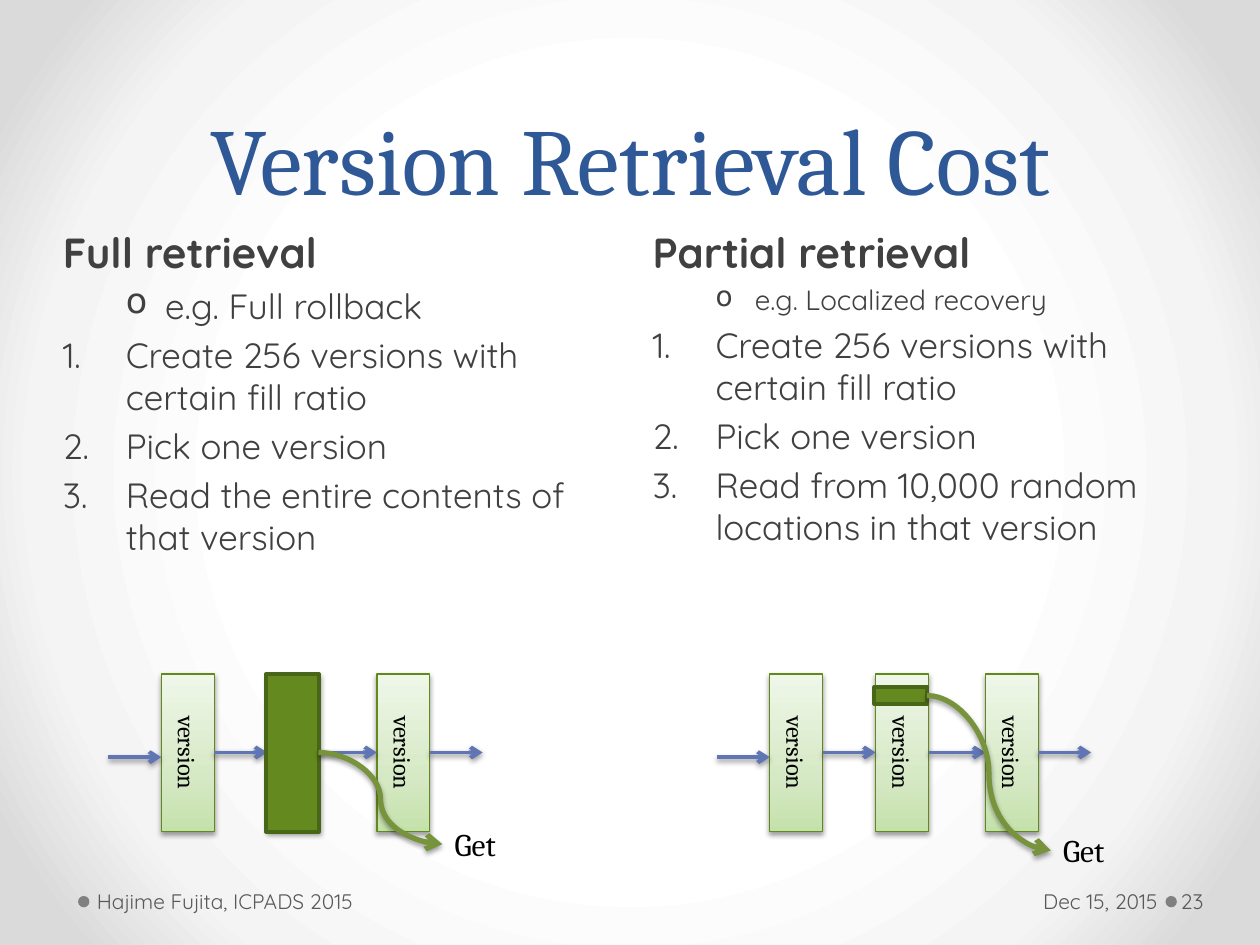
import pptx
import pptx.util
import pptx.oxml
import pptx.oxml.ns
import pptx.dml.color
import pptx.enum.text
import pptx.enum.shapes
import lxml.etree

Pt = pptx.util.Pt
Shape = pptx.enum.shapes.MSO_SHAPE
Link = pptx.enum.shapes.MSO_CONNECTOR
Align = pptx.enum.text.PP_ALIGN
Anchor = pptx.enum.text.MSO_ANCHOR
qn = pptx.oxml.ns.qn

THEME = {
    "head": "Cambria", "body": "Quicksand",
    "title": "2F5897", "text": "404040", "small": "595959", "dot": "808080",
    "black": "000000", "edge": "62891C", "mark": "63891F", "rim": "496517",
    "arrow": "6076B4", "curve": "77933C",
    "box": [(0, "C5E1AB"), (35, "D6E9C5"), (100, "EFF7E9")],
    "back": [(50, "FFFFFF"), (76, "F4F4F4"), (92, "DADADA")],
    "size": {"title": 54, "lead": 24, "step": 20, "get": 18, "label": 14, "foot": 12},
}
SIZE = THEME["size"]

TITLE = "Version Retrieval Cost"
STEPS = ["Create 256 versions with certain fill ratio", "Pick one version"]
# mark and curve heights are measured on the slide
SIDES = [
    {"left": 28.8, "lead": "Full retrieval", "hint": "e.g. Full rollback", "hint_size": 20,
     "last": "Read the entire contents of that version", "start": 62,
     "labels": ["version", "", "version"], "mark": (385.2, 90), "curve": (430, 482.4)},
    {"left": 365.8, "lead": "Partial retrieval", "hint": "e.g. Localized recovery",
     "hint_size": 16, "last": "Read from 10,000 random locations in that version",
     "start": 409.7, "labels": ["version"] * 3, "mark": (392.4, 10),
     "curve": (397.5, 486)},
]
# text, left, width, left inset, right inset, alignment
FOOT = [
    ("Hajime Fujita, ICPADS 2015", 51.8, 224, 3.6, 7.2, Align.LEFT),
    ("Dec 15, 2015", 501, 164.2, 7.2, 3.6, Align.RIGHT),
    ("23", 672.5, 44, 2.2, 3.6, Align.LEFT),
]
DOTS = [44.6, 666]
TOP, WIDE, HIGH = 385.2, 30.2, 90
BOXES = [30.2, 90.7, 153.4]
MID = 430
NS = 'xmlns:a="http://schemas.openxmlformats.org/drawingml/2006/main"'


def rgb(name):
    return pptx.dml.color.RGBColor.from_string(THEME[name])


def grad(stops, tail):
    parts = "".join(f'<a:gs pos="{pos * 1000}"><a:srgbClr val="{hue}"/></a:gs>'
                    for pos, hue in stops)
    return pptx.oxml.parse_xml(
        f'<a:gradFill {NS} rotWithShape="1"><a:gsLst>{parts}</a:gsLst>{tail}</a:gradFill>')


def swap(parent, new):
    old = parent.find(qn("a:gradFill"))
    parent.replace(old, new)


def shade(shape):
    """Give a shape or line its soft drop shadow."""
    shape._element.spPr.append(pptx.oxml.parse_xml(
        f'<a:effectLst {NS}><a:outerShdw blurRad="{Pt(3.1)}" dist="{Pt(1.6)}" '
        'dir="5400000" rotWithShape="0"><a:srgbClr val="000000">'
        '<a:alpha val="38000"/></a:srgbClr></a:outerShdw></a:effectLst>'))


def style(para, size, color, font="body", bold=False):
    for run in para.runs:
        run.font.size = Pt(size)
        run.font.name = THEME[font]
        run.font.color.rgb = rgb(color)
        run.font.bold = bold


def write(slide, text, x, y, w, h, size, color, font="body", align=Align.LEFT,
          anchor=Anchor.TOP):
    frame = slide.shapes.add_textbox(Pt(x), Pt(y), Pt(w), Pt(h)).text_frame
    frame.word_wrap = True
    frame.vertical_anchor = anchor
    frame.text = text
    frame.paragraphs[0].alignment = align
    style(frame.paragraphs[0], size, color, font)
    return frame


def block(slide, kind, x, y, w, h, fill, edge=None, weight=0):
    """Add a preset shape; fill is a colour name, or None for the pale gradient."""
    shape = slide.shapes.add_shape(kind, Pt(x), Pt(y), Pt(w), Pt(h))
    if fill:
        shape.fill.solid()
        shape.fill.fore_color.rgb = rgb(fill)
    else:
        shape.fill.gradient()
        swap(shape._element.spPr, grad(THEME["box"], '<a:lin ang="16200000" scaled="0"/>'))
    if edge:
        shape.line.color.rgb = rgb(edge)
        shape.line.width = Pt(weight)
    else:
        shape.line.fill.background()
    if fill:
        shape.shadow.inherit = False
    else:
        shade(shape)
    return shape


def arrow(slide, kind, x, y, end_x, end_y, color, weight):
    line = slide.shapes.add_connector(kind, Pt(x), Pt(y), Pt(end_x), Pt(end_y))
    line.line.color.rgb = rgb(color)
    line.line.width = Pt(weight)
    lxml.etree.SubElement(line.line._get_or_add_ln(), qn("a:tailEnd"), type="arrow")
    shade(line)


def bullet(para, margin, hang, tag, **attrs):
    props = para._p.get_or_add_pPr()
    props.set("marL", str(Pt(margin)))
    props.set("indent", str(-Pt(hang)))
    lxml.etree.SubElement(props, qn(tag), **attrs)


def column(slide, side):
    frame = write(slide, side["lead"], side["left"], 126, 318.2, 356.4,
                  SIZE["lead"], "text")
    style(frame.paragraphs[0], SIZE["lead"], "text", bold=True)
    for i, text in enumerate([side["hint"], *STEPS, side["last"]]):
        para = frame.add_paragraph()
        para.text = text
        size = SIZE["step"] if i else side["hint_size"]
        para.space_before = Pt(size * 0.2)
        if i:
            bullet(para, 36, 36, "a:buAutoNum", type="arabicPeriod")
        else:
            para.level = 1
            bullet(para, 58.5, 22.5, "a:buChar", char="o")
        style(para, size, "text")


def chain(slide, side):
    """Draw the row of versions, the part that is read, and the Get arrow."""
    start = side["start"]
    lefts = [start + step for step in BOXES]
    for left, label in zip(lefts, side["labels"]):
        box = block(slide, Shape.RECTANGLE, left, TOP, WIDE, HIGH, None, "edge", 0.75)
        if label:
            frame = box.text_frame
            frame.text = label
            frame.vertical_anchor = Anchor.MIDDLE
            frame._txBody.bodyPr.set("vert", "vert")
            frame.paragraphs[0].alignment = Align.CENTER
            style(frame.paragraphs[0], SIZE["label"], "black", "head")
    rights = [left + WIDE for left in lefts]
    ends = lefts + [rights[-1] + WIDE]
    for i, (x, end) in enumerate(zip([start] + rights, ends)):
        y = MID if i else MID + 2.7
        arrow(slide, Link.STRAIGHT, x, y, end, y, "arrow", 2.25)
    y, tall = side["mark"]
    block(slide, Shape.RECTANGLE, start + 90, y, WIDE, tall, "mark", "rim", 2.25)
    y, end = side["curve"]
    tip = start + 190.8
    arrow(slide, Link.CURVE, start + 120, y, tip, end, "curve", 3)
    write(slide, "Get", tip, end - 14.4, 83.5, 28.8, SIZE["get"], "black", "head")


def main():
    deck = pptx.Presentation()
    deck.slide_width, deck.slide_height = Pt(720), Pt(540)
    slide = deck.slides.add_slide(deck.slide_layouts[6])
    slide.background.fill.gradient()
    swap(slide._element.cSld.bg.bgPr, grad(
        THEME["back"], '<a:path path="circle"><a:fillToRect l="50000" t="50000" '
        'r="50000" b="50000"/></a:path>'))
    for x in DOTS:
        block(slide, Shape.OVAL, x, 512, 6.5, 6.5, "dot")
    title = write(slide, TITLE, 36, 0, 648, 126, SIZE["title"], "title", "head",
                  Align.CENTER, Anchor.BOTTOM)
    title.paragraphs[0].line_spacing = Pt(58)
    for side in SIDES:
        column(slide, side)
        chain(slide, side)
    for text, x, w, left, right, align in FOOT:
        frame = write(slide, text, x, 500.4, w, 28.8, SIZE["foot"], "small",
                      align=align, anchor=Anchor.MIDDLE)
        frame.margin_left, frame.margin_right = Pt(left), Pt(right)
    deck.save("out.pptx")


if __name__ == "__main__":
    main()
